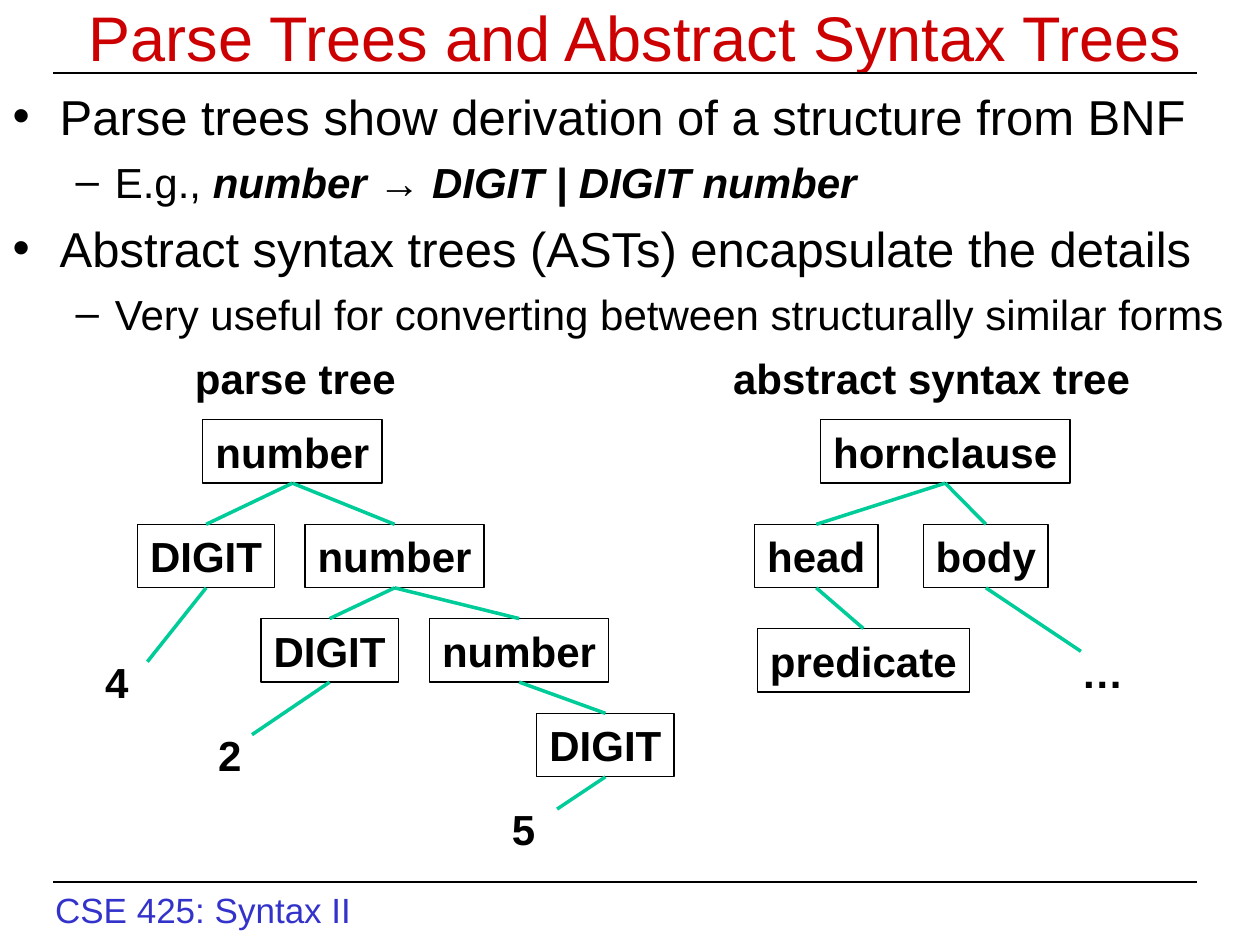
"""Build the slide comparing parse trees and abstract syntax trees."""
from pptx import Presentation
from pptx.dml.color import RGBColor
from pptx.enum.shapes import MSO_CONNECTOR as Connector, MSO_SHAPE as Shape
from pptx.enum.text import MSO_ANCHOR as Anchor, MSO_AUTO_SIZE as AutoSize, PP_ALIGN as Align
from pptx.oxml.ns import qn
from pptx.util import Cm, Pt
from lxml.etree import SubElement


def format_text(item, size, color="000000", bold=False):
    item.font.name = "Arial"
    item.font.size = Pt(size)
    item.font.bold = bold
    item.font.color.rgb = RGBColor.from_string(color)


def add_line(start, end, color, width):
    points = [Cm(value) for value in (*start, *end)]
    line = slide.shapes.add_connector(Connector.STRAIGHT, *points)
    line.line.color.rgb = RGBColor.from_string(color)
    line.line.width = Pt(width)
    SubElement(line._element.spPr, qn("a:effectLst"))
    return line


presentation = Presentation()
presentation.slide_width = Cm(25.4)
presentation.slide_height = Cm(19.05)
slide = presentation.slides.add_slide(presentation.slide_layouts[1])

for rule_top in (1.47, 17.78):
    add_line((1.07, rule_top), (24.13, rule_top), "000000", 0.75)

title = slide.shapes.title
title.left, title.top, title.width, title.height = Cm(1.27), Cm(0), Cm(23.06), Cm(1.47)
title.text_frame.text = "Parse Trees and Abstract Syntax Trees"
title.text_frame.auto_size = AutoSize.NONE
title.text_frame.vertical_anchor = Anchor.MIDDLE
title.text_frame.paragraphs[0].alignment = Align.CENTER
format_text(title.text_frame.paragraphs[0].runs[0], 36, "CC0000")

body = slide.placeholders[1]
body.left, body.top, body.width, body.height = Cm(0), Cm(1.62), Cm(25.4), Cm(5.8)
body.text_frame.auto_size = AutoSize.NONE
bullets = [
    (0, "Parse trees show derivation of a structure from BNF", ""),
    (1, "E.g., ", "number → DIGIT | DIGIT number"),
    (0, "Abstract syntax trees (ASTs) encapsulate the details", ""),
    (1, "Very useful for converting between structurally similar forms", ""),
]
level_styles = [(28, 7, 0.95, -0.95), (24, 6, 2.06, -0.79)]
for index, (level, plain, emphasis) in enumerate(bullets):
    size, space, margin, indent = level_styles[level]
    paragraph = body.text_frame.add_paragraph() if index else body.text_frame.paragraphs[0]
    paragraph.text = plain
    paragraph.level = level
    paragraph.space_before = Pt(space if index else 0)
    properties = paragraph._p.get_or_add_pPr()
    properties.set("marL", str(Cm(margin)))
    properties.set("indent", str(Cm(indent)))
    format_text(paragraph.runs[0], size)
    if emphasis:
        run = paragraph.add_run()
        run.text = emphasis
        format_text(run, size, bold=True)
        run.font.italic = True

labels = [
    ("CSE 425: Syntax II", 0.86, 17.78, 6.48, 20, "3333CC", False),
    ("parse tree", 3.68, 6.99, 4.55, 24, "000000", True),
    ("abstract syntax tree", 14.53, 6.99, 8.51, 24, "000000", True),
    ("4", 1.87, 13.11, 0.98, 24, "000000", True),
    ("2", 4.15, 14.58, 0.98, 24, "000000", True),
    ("5", 10.07, 16.08, 0.98, 24, "000000", True),
    ("…", 21.55, 12.9, 1.35, 24, "000000", True),
]
for text, left, top, width, size, color, bold in labels:
    label = slide.shapes.add_textbox(Cm(left), Cm(top), Cm(width), Cm(1.28))
    label.text_frame.word_wrap = False
    label.text_frame.text = text
    format_text(label.text_frame.paragraphs[0].runs[0], size, color, bold)

node_widths = {"number": 3.61, "DIGIT": 2.77, "hornclause": 5.03,
               "body": 2.51, "head": 2.49, "predicate": 4.27}
nodes = {
    "first number": ("number", 4.09, 8.46),
    "second number": ("number", 6.15, 10.57),
    "first digit": ("DIGIT", 2.77, 10.57),
    "third number": ("number", 8.66, 12.47),
    "second digit": ("DIGIT", 5.26, 12.47),
    "third digit": ("DIGIT", 10.82, 14.38),
    "hornclause": ("hornclause", 16.54, 8.46),
    "body": ("body", 18.62, 10.57),
    "head": ("head", 15.21, 10.57),
    "predicate": ("predicate", 15.27, 12.67),
}
boxes = {}
for name, (text, left, top) in nodes.items():
    box = slide.shapes.add_shape(
        Shape.RECTANGLE, Cm(left), Cm(top), Cm(node_widths[text]), Cm(1.28))
    box.shadow.inherit = False
    box.fill.background()
    box.line.color.rgb = RGBColor.from_string("000000")
    box.line.width = Pt(0.75)
    box.text_frame.word_wrap = False
    box.text_frame.text = text
    box.text_frame.paragraphs[0].alignment = Align.CENTER
    format_text(box.text_frame.paragraphs[0].runs[0], 24, bold=True)
    boxes[name] = box

branches = [
    ("first number", "first digit"), ("first number", "second number"),
    ("second number", "second digit"), ("second number", "third number"),
    ("third number", "third digit"), ("hornclause", "head"),
    ("hornclause", "body"), ("head", "predicate"),
]
for parent, child in branches:
    branch = add_line((0, 0), (1, 1), "00CC99", 2)
    branch.begin_connect(boxes[parent], 2)
    branch.end_connect(boxes[child], 0)

leaf_ends = {"first digit": (2.97, 13.34), "second digit": (5.08, 14.81),
             "third digit": (11.23, 16.31), "body": (21.79, 13.13)}
for parent, end in leaf_ends.items():
    branch = add_line((0, 0), end, "00CC99", 2)
    branch.begin_connect(boxes[parent], 2)

presentation.save("out.pptx")
